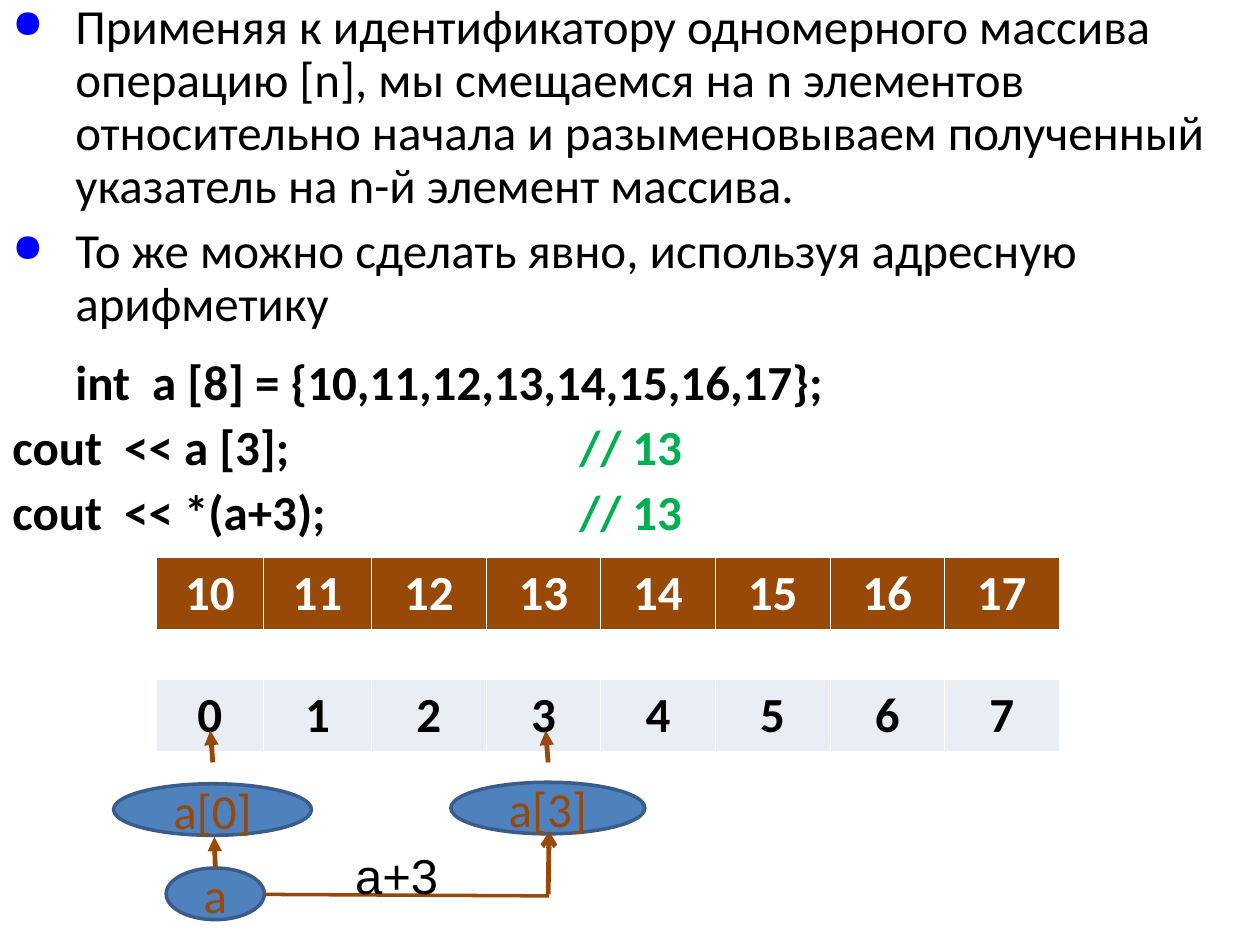
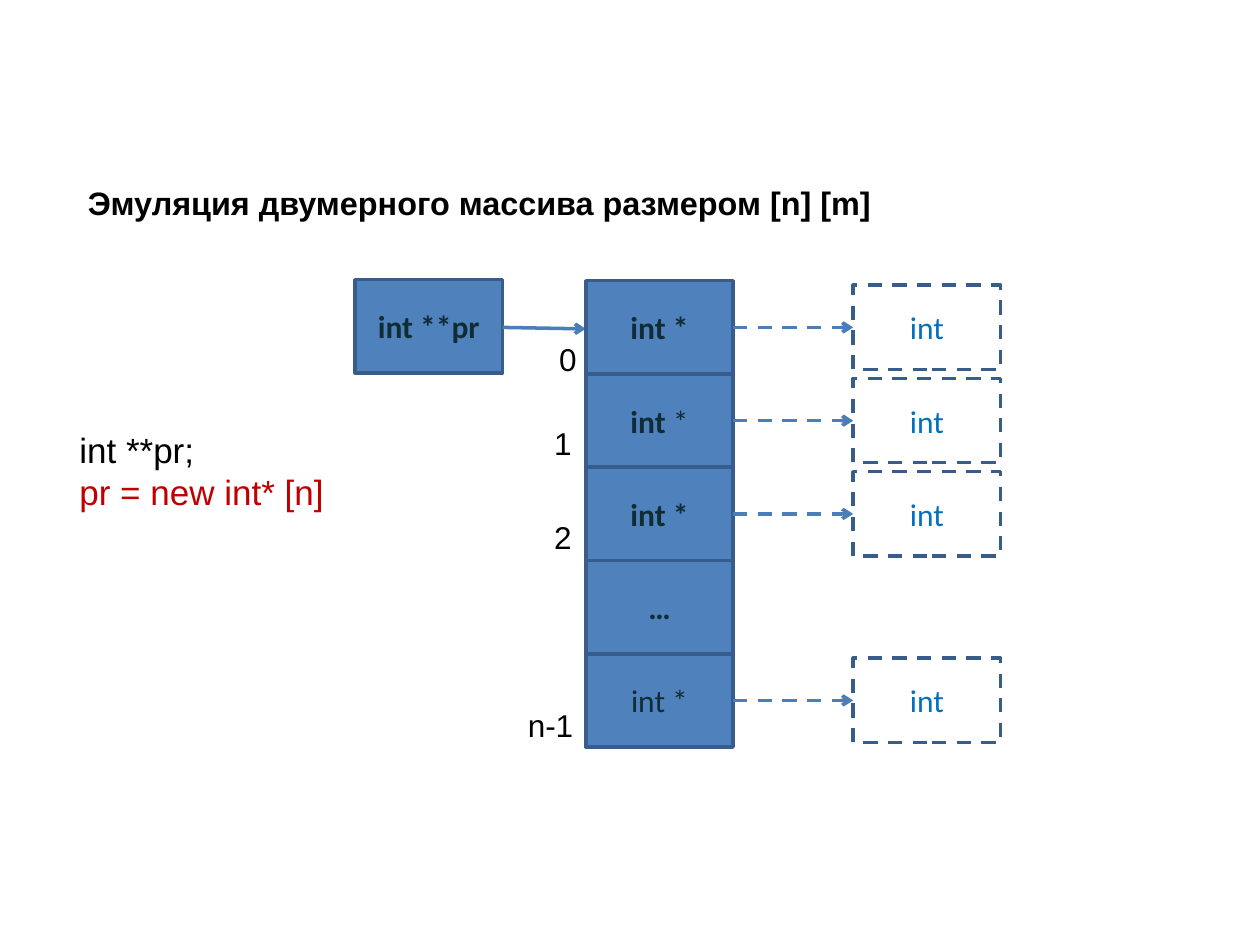
from dataclasses import dataclass
from typing import NamedTuple

import lxml.etree
import pptx
import pptx.dml.color
import pptx.enum.dml
import pptx.enum.shapes
import pptx.enum.text
import pptx.oxml.ns
import pptx.slide
import pptx.table
import pptx.text.text
import pptx.util

Cm = pptx.util.Cm
Pt = pptx.util.Pt
qn = pptx.oxml.ns.qn
SHAPE = pptx.enum.shapes.MSO_SHAPE
CENTER = pptx.enum.text.PP_ALIGN.CENTER
DASH = pptx.enum.dml.MSO_LINE.DASH


@dataclass(frozen=True)
class Theme:
    black: str = "000000"
    white: str = "FFFFFF"
    brown: str = "984807"
    blue: str = "4F81BD"
    edge: str = "385D8A"
    link: str = "4A7EBB"
    pale: str = "E9EDF4"
    ink: str = "102C34"
    sky: str = "0070C0"
    green: str = "00B050"
    red: str = "C00000"
    bullet: str = "0000FF"
    body: str = "Calibri"
    plain: str = "Arial"
    big: float = 28
    code: float = 20
    head: float = 18.5
    small: float = 18


THEME = Theme()


class Bit(NamedTuple):
    """A run of text in one style."""
    text: str
    size: float = THEME.big
    color: str = THEME.black
    bold: bool = False
    face: str = THEME.body


class Box(NamedTuple):
    left: float
    top: float
    width: float
    height: float


class Arrow(NamedTuple):
    x1: float
    y1: float
    x2: float
    y2: float
    color: str = THEME.brown
    width: float = 2.75
    tip: str = "triangle"
    dash: bool = False


class Row(NamedTuple):
    """A cell of the pointer column with the place of its index."""
    bits: list[Bit]
    mark: str = ""
    left: float = 0
    top: float = 0


def rgb(color: str) -> pptx.dml.color.RGBColor:
    return pptx.dml.color.RGBColor.from_string(color)


def fill_para(para: pptx.text.text._Paragraph, bits: list[Bit]) -> None:
    para.text = bits[0].text
    for bit in bits[1:]:
        para.add_run().text = bit.text
    for run, bit in zip(para.runs, bits):
        run.font.size = Pt(bit.size)
        run.font.name = bit.face
        run.font.bold = bit.bold
        run.font.color.rgb = rgb(bit.color)


def add_text(slide: pptx.slide.Slide, box: Box,
             paras: list[list[Bit]]) -> pptx.text.text.TextFrame:
    frame = slide.shapes.add_textbox(*map(Cm, box)).text_frame
    frame.word_wrap = True
    for i, bits in enumerate(paras):
        fill_para(frame.add_paragraph() if i else frame.paragraphs[0], bits)
    return frame


def add_node(slide: pptx.slide.Slide, kind: SHAPE, box: Box,
             bits: list[Bit], solid: bool = True) -> None:
    """Draw a labelled shape, filled or else with a dashed outline."""
    node = slide.shapes.add_shape(kind, *map(Cm, box))
    node.shadow.inherit = False
    if solid:
        node.fill.solid()
        node.fill.fore_color.rgb = rgb(THEME.blue)
    else:
        node.fill.background()
    node.line.color.rgb = rgb(THEME.edge)
    node.line.width = Pt(2)
    if not solid:
        node.line.dash_style = DASH
    para = node.text_frame.paragraphs[0]
    fill_para(para, bits)
    para.alignment = CENTER


def add_arrow(slide: pptx.slide.Slide, arrow: Arrow) -> None:
    ends = map(Cm, arrow[:4])
    link = slide.shapes.add_connector(
        pptx.enum.shapes.MSO_CONNECTOR.STRAIGHT, *ends)
    link.line.color.rgb = rgb(arrow.color)
    link.line.width = Pt(arrow.width)
    if arrow.dash:
        link.line.dash_style = DASH
    props = link._element.spPr
    if arrow.tip:
        lxml.etree.SubElement(props.get_or_add_ln(), qn("a:tailEnd"),
                              type=arrow.tip)
    lxml.etree.SubElement(props, qn("a:effectLst"))


def add_bullet(para: pptx.text.text._Paragraph) -> None:
    props = para._p.get_or_add_pPr()
    color = lxml.etree.SubElement(props, qn("a:buClr"))
    lxml.etree.SubElement(color, qn("a:srgbClr"), val=THEME.bullet)
    lxml.etree.SubElement(props, qn("a:buSzPct"), val="80000")
    lxml.etree.SubElement(props, qn("a:buChar"), char="●")


def add_tab(para: pptx.text.text._Paragraph, place: float) -> None:
    tabs = lxml.etree.SubElement(para._p.get_or_add_pPr(), qn("a:tabLst"))
    lxml.etree.SubElement(tabs, qn("a:tab"), pos=str(Cm(place)), algn="l")


def indent(para: pptx.text.text._Paragraph, left: float, first: float) -> None:
    props = para._p.get_or_add_pPr()
    props.set("marL", str(Cm(left)))
    props.set("indent", str(Cm(first)))


def style_cell(cell: pptx.table._Cell, color: str) -> None:
    """Give a cell thin white borders and a plain fill."""
    props = cell._tc.get_or_add_tcPr()
    for side in ("lnL", "lnR", "lnT", "lnB"):
        line = lxml.etree.SubElement(props, qn(f"a:{side}"), w=str(Pt(0.45)))
        paint = lxml.etree.SubElement(line, qn("a:solidFill"))
        lxml.etree.SubElement(paint, qn("a:srgbClr"), val=THEME.white)
    cell.fill.solid()
    cell.fill.fore_color.rgb = rgb(color)


def add_array(slide: pptx.slide.Slide) -> None:
    """Draw the array values above their indexes."""
    widths = [2.16, 2.18] + [2.31] * 6
    heights = [1.45, 0.58, 1.45]
    table = slide.shapes.add_table(
        3, 8, Cm(3.15), Cm(11.23), Cm(sum(widths)), Cm(sum(heights))).table
    table.first_row = table.horz_banding = False
    for col, width in zip(table.columns, widths):
        col.width = Cm(width)
    for row, height in zip(table.rows, heights):
        row.height = Cm(height)
    looks = [(THEME.brown, THEME.white, 10), (THEME.white, "", None),
             (THEME.pale, THEME.black, 0)]
    for row, (back, fore, start) in zip(table.rows, looks):
        for i, cell in enumerate(row.cells):
            style_cell(cell, back)
            if start is not None:
                para = cell.text_frame.paragraphs[0]
                fill_para(para, [Bit(str(start + i), color=fore, bold=True)])
                para.alignment = CENTER


def build_index(slide: pptx.slide.Slide) -> None:
    """Show how indexing equals pointer arithmetic."""
    note = Bit("// 13", color=THEME.green, bold=True)
    frame = add_text(slide, Box(0, -0.08, 25.4, 10.8), [
        [Bit("Применяя к идентификатору одномерного массива операцию [n], "
             "мы смещаемся на n элементов относительно начала и "
             "разыменовываем полученный указатель на n-й элемент массива.")],
        [Bit("То же можно сделать явно, используя адресную арифметику")],
        [Bit("int  a [8] = {10,11,12,13,14,15,16,17};", bold=True)],
        [Bit("cout  << a [3];\t", bold=True), note],
        [Bit("cout  << *(a+3);\t", bold=True), note],
    ])
    paras = frame.paragraphs
    for para in paras[:2]:
        add_bullet(para)
        indent(para, 1.27, -1.27)
    indent(paras[2], 1.27, 0)
    for para in paras[3:]:
        add_tab(para, 11.43)
    for para, gap in zip(paras, (0, 7, 15, 7, 7)):
        para.line_spacing = 0.9
        para.space_before = Pt(gap)

    add_array(slide)
    for box, name in ((Box(2.29, 15.8, 3.99, 1.04), "a[0]"),
                      (Box(3.35, 17.5, 1.98, 1.04), "a"),
                      (Box(9.09, 15.77, 3.91, 1.04), "a[3]")):
        add_node(slide, SHAPE.OVAL, box, [Bit(name, color=THEME.brown)])
    for arrow in (Arrow(4.29, 15.37, 4.24, 14.73),
                  Arrow(4.34, 17.5, 4.32, 16.87),
                  Arrow(11.05, 15.37, 11, 14.73),
                  Arrow(11.07, 18.06, 5.33, 18.03, width=2, tip=""),
                  Arrow(11.05, 18.03, 11.07, 16.76, tip="arrow")):
        add_arrow(slide, arrow)
    add_text(slide, Box(6.91, 16.92, 2.39, 1.45),
             [[Bit("a+3", face=THEME.plain)]])


def build_matrix(slide: pptx.slide.Slide) -> None:
    """Show a two-dimensional array made of row pointers."""
    title = add_text(slide, Box(1.52, 3.78, 19.05, 0.86), [
        [Bit("Эмуляция двумерного массива размером [n] [m]", THEME.head,
             bold=True, face=THEME.plain)]])
    title.paragraphs[0].line_spacing = 0.7
    add_text(slide, Box(1.35, 8.51, 9.55, 1.96), [
        [Bit("int **pr;", THEME.code, face=THEME.plain)],
        [Bit("pr = new int* [n]", THEME.code, THEME.red, face=THEME.plain)]])

    def label(text: str, bold: bool = True) -> Bit:
        return Bit(text, THEME.small, THEME.ink, bold)

    wide, high, left, top = 2.97, 1.88, 11.81, 5.66
    goal = 17.2
    add_node(slide, SHAPE.RECTANGLE, Box(7.16, 5.64, wide, high),
             [label("int **pr")])
    add_arrow(slide, Arrow(10.13, 6.6, left, 6.63, THEME.link, 2, "arrow"))
    rows = [Row([label("int *")], "0", 11.02, 6.73),
            Row([label("int "), label("*", False)], "1", 10.92, 8.43),
            Row([label("int *")], "2", 10.92, 10.31),
            Row([label("…")]),
            Row([label("int *", False)], "n-1", 10.39, 14.1)]
    for i, row in enumerate(rows):
        y = top + i * high
        add_node(slide, SHAPE.RECTANGLE, Box(left, y, wide, high), row.bits)
        if not row.mark:
            continue
        add_text(slide, Box(row.left, row.top, 0.35 + 0.43 * len(row.mark), 1.02),
                 [[Bit(row.mark, THEME.small, face=THEME.plain)]])
        add_node(slide, SHAPE.RECTANGLE, Box(goal, y + 0.09, wide, 1.7),
                 [Bit("int", THEME.small, THEME.sky)], solid=False)
        mid = y + high / 2
        add_arrow(slide, Arrow(left + wide, mid, goal, mid, THEME.link, 2,
                               "arrow", dash=True))


def main() -> None:
    deck = pptx.Presentation()
    deck.slide_width, deck.slide_height = Cm(25.4), Cm(19.05)
    for build in (build_index, build_matrix):
        build(deck.slides.add_slide(deck.slide_layouts[6]))
    deck.save("out.pptx")


if __name__ == "__main__":
    main()
